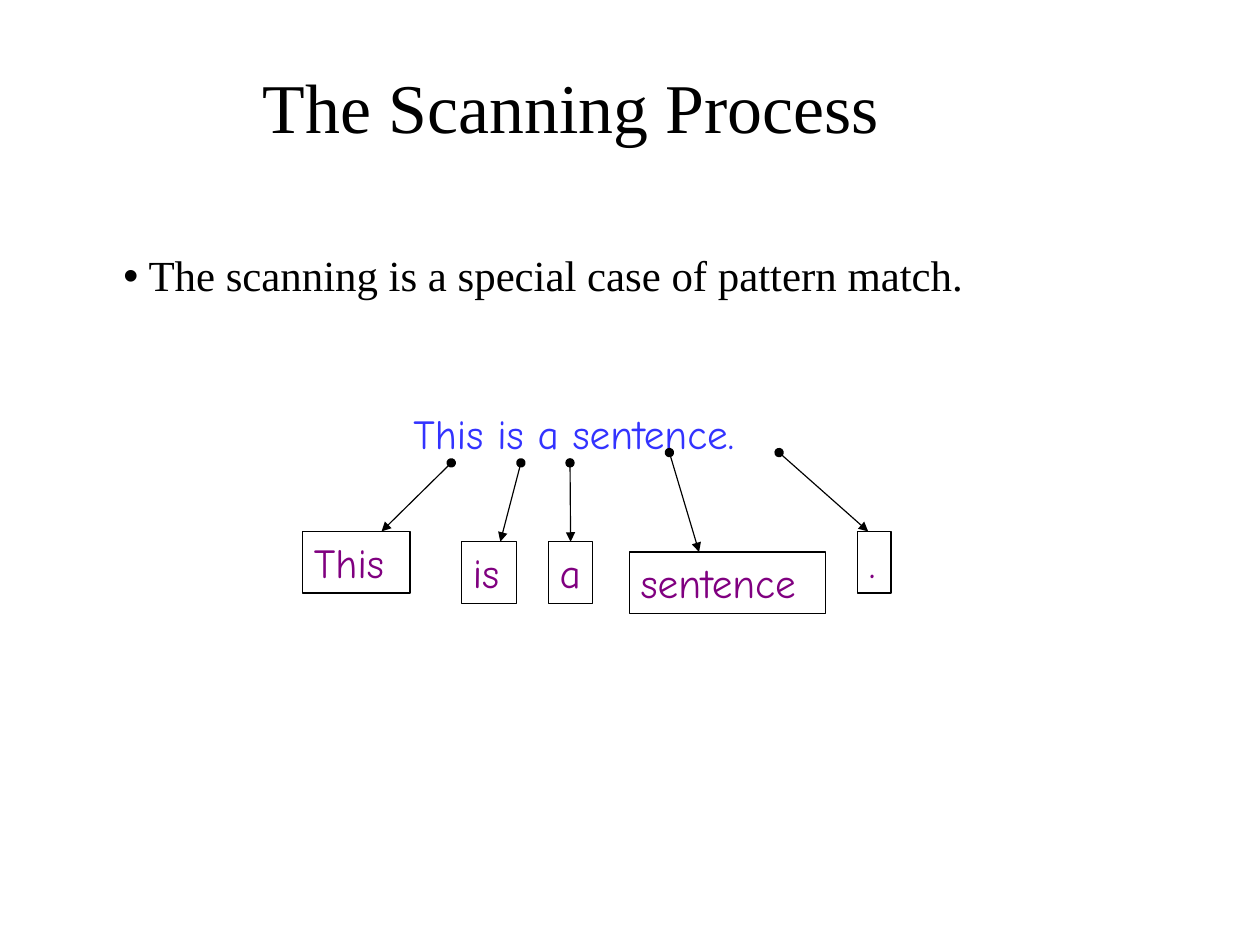
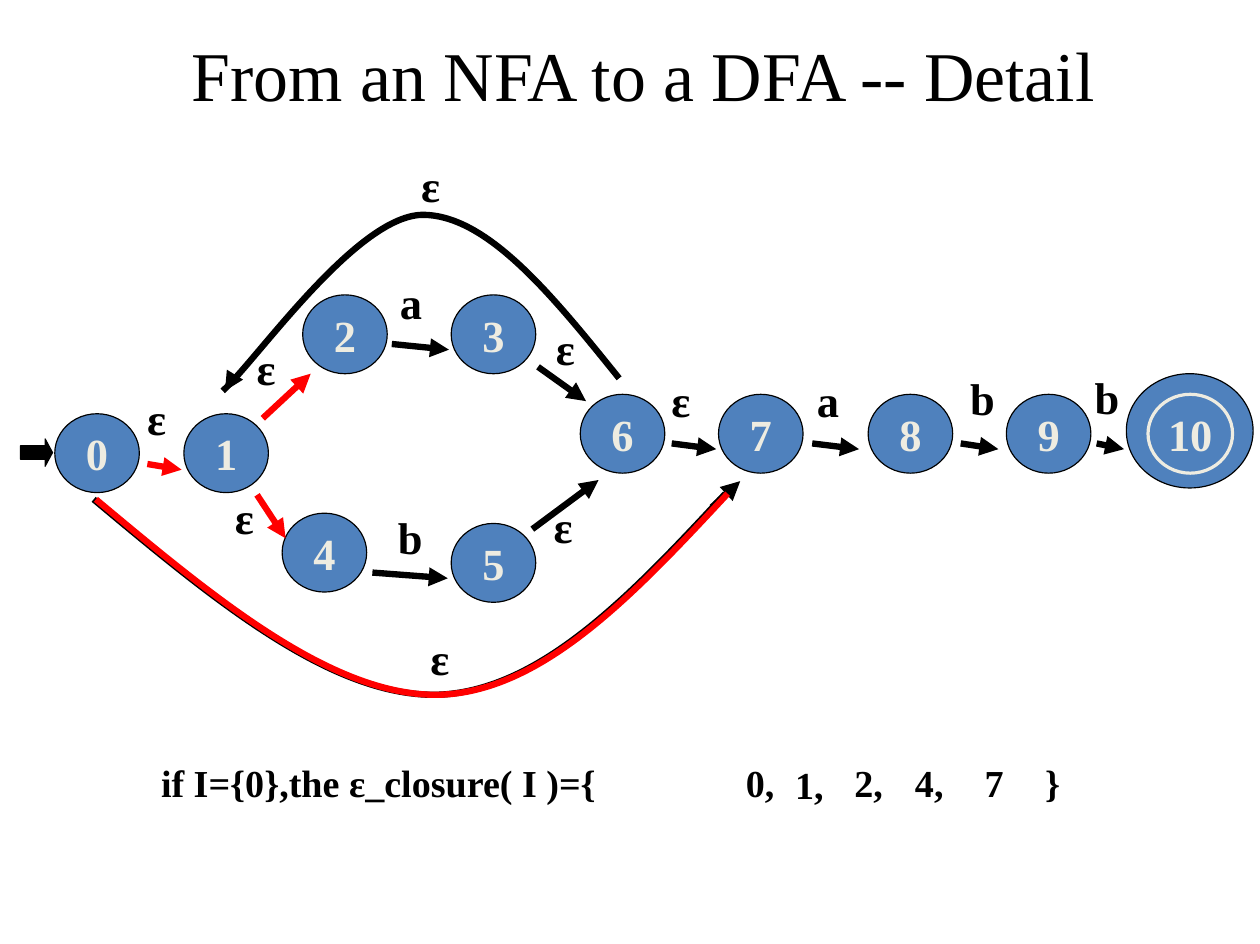
from lxml.etree import SubElement
from pptx import Presentation
from pptx.dml.color import RGBColor
from pptx.enum.shapes import MSO_CONNECTOR, MSO_SHAPE
from pptx.enum.text import MSO_ANCHOR, MSO_AUTO_SIZE, PP_ALIGN
from pptx.oxml.ns import qn
from pptx.util import Inches, Pt

BLACK = RGBColor(0x00, 0x00, 0x00)
RED = RGBColor(0xFF, 0x00, 0x00)
SENTENCE_BLUE = RGBColor(0x33, 0x33, 0xFF)
TOKEN_PURPLE = RGBColor(0x80, 0x00, 0x80)
STATE_BLUE = RGBColor(0x4F, 0x81, 0xBD)
STATE_TEXT = RGBColor(0xEE, 0xEC, 0xE1)

SERIF = "Times New Roman"
HAND = "Comic Neue"
THIN, THICK = 0.75, 4
STATE_W, STATE_H = 0.74, 0.69
PLAIN_INSETS = (0.1, 0.05, 0.1, 0.05)
DIAGRAM_INSETS = (0.11, 0.06, 0.11, 0.06)

# token, box left, top, width, arrow start, arrow end x (None: middle of the box)
TOKENS = [
    ("This", 2.65, 4.65, 0.94, (3.95, 4.05), 3.34),
    ("is", 4.04, 4.74, 0.48, (4.56, 4.05), 4.38),
    ("a", 4.8, 4.74, 0.39, (4.99, 4.05), None),
    ("sentence", 5.51, 4.83, 1.72, (5.86, 3.96), 6.12),
    (".", 7.51, 4.65, 0.29, (6.82, 3.96), 7.6),
]

STATES = {
    "0": (0.48, 3.62), "1": (1.61, 3.62),
    "2": (2.65, 2.58), "3": (3.95, 2.58),
    "4": (2.47, 4.49), "5": (3.95, 4.58),
    "6": (5.08, 3.45), "7": (6.29, 3.45),
    "8": (7.6, 3.45), "9": (8.81, 3.45),
}

MOVES = [
    ((9.6, 3.88), (9.84, 3.93), BLACK),
    ((8.41, 3.88), (8.74, 3.93), BLACK),
    ((7.11, 3.88), (7.52, 3.93), BLACK),
    ((5.88, 3.88), (6.27, 3.93), BLACK),
    ((3.26, 5.01), (3.92, 5.06), BLACK),
    ((3.43, 3.01), (3.93, 3.06), BLACK),
    ((4.71, 3.21), (5.13, 3.51), BLACK),
    ((4.66, 4.63), (5.24, 4.2), BLACK),
    ((1.29, 4.06), (1.59, 4.11), RED),
    ((2.3, 3.66), (2.72, 3.27), RED),
    ((2.25, 4.33), (2.5, 4.71), RED),
]

LABEL_WIDTHS = {"ε": 0.58, "a": 0.41, "b": 0.5}
LABELS = {
    "ε": [(3.48, 1.32), (1.08, 3.36), (2.04, 2.92), (1.85, 4.23),
          (4.66, 2.75), (4.64, 4.31), (5.67, 3.2), (3.56, 5.46)],
    "a": [(3.39, 2.35), (7.04, 3.2)],
    "b": [(3.34, 4.4), (8.35, 3.19), (9.44, 3.18)],
}

CLOSURE = [
    ("if I={0},the ε_closure( I )={", 1.3, 6.63, 5.17),
    ("0,", 6.42, 6.63, 0.56),
    ("1,", 6.85, 6.65, 0.56),
    ("2,", 7.37, 6.63, 0.66),
    ("4,", 7.9, 6.63, 0.56),
    ("7", 8.51, 6.63, 0.47),
    ("}", 9.04, 6.63, 0.38),
]

SKIP_CURVE = [(0.82, 4.37), (1.85, 5.23), (2.87, 6.08), (3.8, 6.08),
              (4.72, 6.07), (5.54, 5.19), (6.35, 4.32)]
LOOP_CURVE = [(5.42, 3.31), (4.84, 2.59), (4.26, 1.87), (3.69, 1.88),
              (3.11, 1.9), (2.24, 3.16), (1.95, 3.42)]


def inches(*values):
    return [Inches(value) for value in values]


def write(shape, text, size, color=BLACK, font=SERIF, bold=False, align=PP_ALIGN.LEFT,
          anchor=MSO_ANCHOR.TOP, insets=PLAIN_INSETS, wrap=True, spacing=1.0):
    frame = shape.text_frame
    frame.word_wrap = wrap
    frame.auto_size = MSO_AUTO_SIZE.NONE
    frame.vertical_anchor = anchor
    (frame.margin_left, frame.margin_top,
     frame.margin_right, frame.margin_bottom) = inches(*insets)
    paragraph = frame.paragraphs[0]
    paragraph.alignment = align
    paragraph.line_spacing = spacing
    paragraph.space_before = Pt(0)
    run = paragraph.add_run()
    run.text = text
    run.font.size = Pt(size)
    run.font.name = font
    run.font.bold = bold
    run.font.color.rgb = color
    return paragraph


def place(shape, *box):
    shape.left, shape.top, shape.width, shape.height = inches(*box)


def add_title(slide, text, box, **style):
    place(slide.shapes.title, *box)
    write(slide.shapes.title, text, 44, anchor=MSO_ANCHOR.MIDDLE, **style)


def add_text(slide, text, box, size, **style):
    write(slide.shapes.add_textbox(*inches(*box)), text, size, **style)


def add_figure(slide, kind, box, fill=None, line=BLACK, width=THIN):
    figure = slide.shapes.add_shape(kind, *inches(*box))
    figure.shadow.inherit = False
    if fill is None:
        figure.fill.background()
    else:
        figure.fill.solid()
        figure.fill.fore_color.rgb = fill
    figure.line.color.rgb = line
    figure.line.width = Pt(width)
    return figure


def add_arrow(slide, start, end, color=BLACK, width=THICK, dot=False):
    arrow = slide.shapes.add_connector(MSO_CONNECTOR.STRAIGHT, *inches(*start, *end))
    arrow.line.color.rgb = color
    arrow.line.width = Pt(width)
    properties = arrow._element.spPr
    outline = properties.find(qn("a:ln"))
    if dot:
        SubElement(outline, qn("a:headEnd"), type="oval")
    SubElement(outline, qn("a:tailEnd"), type="triangle")
    SubElement(properties, qn("a:effectLst"))
    return arrow


def add_curve(slide, points, color=BLACK):
    """Draw cubic Béziers through a start point and triples of control points."""
    start, *controls = [inches(*point) for point in points]
    builder = slide.shapes.build_freeform(*start)
    builder.add_line_segments(controls, close=False)
    curve = builder.convert_to_shape()
    curve.shadow.inherit = False
    curve.fill.background()
    curve.line.color.rgb = color
    curve.line.width = Pt(THICK)
    outline = next(curve._element.iter(qn("a:path")))
    segments = outline.findall(qn("a:lnTo"))
    for first in range(0, len(segments), 3):
        bezier = SubElement(outline, qn("a:cubicBezTo"))
        for segment in segments[first:first + 3]:
            bezier.append(segment[0])
            outline.remove(segment)


def add_state(slide, name, left, top, **outline):
    state = add_figure(slide, MSO_SHAPE.OVAL, (left, top, STATE_W, STATE_H),
                       STATE_BLUE, **outline)
    write(state, name, 28, STATE_TEXT, bold=True, align=PP_ALIGN.CENTER,
          anchor=MSO_ANCHOR.MIDDLE, insets=DIAGRAM_INSETS, wrap=False)


def add_bullet(paragraph, indent):
    properties = paragraph._p.get_or_add_pPr()
    properties.set("marL", str(Inches(indent)))
    properties.set("indent", str(-Inches(indent)))
    SubElement(properties, qn("a:buChar"), char="•")


def build_scanning(slide):
    add_title(slide, "The Scanning Process", (0.5, 0.3, 9, 1.25), align=PP_ALIGN.CENTER)
    body = slide.placeholders[1]
    place(body, 0.98, 2.18, 8.4, 0.51)
    statement = write(body, "The scanning is a special case of pattern match.", 27,
                      spacing=0.9)
    add_bullet(statement, 0.22)

    add_text(slide, "This is a sentence.", (3.52, 3.52, 3.38, 0.55), 26,
             color=SENTENCE_BLUE, font=HAND)
    for token, left, top, width, start, end_x in TOKENS:
        box = add_figure(slide, MSO_SHAPE.RECTANGLE, (left, top, width, 0.54))
        write(box, token, 26, TOKEN_PURPLE, HAND)
        arrow = add_arrow(slide, start, (end_x or start[0], top), width=THIN, dot=True)
        if end_x is None:
            arrow.end_connect(box, 0)


def build_automaton(slide):
    add_title(slide, "From an NFA to a DFA -- Detail", (1.68, 0.3, 8.13, 0.77),
              insets=(0, 0, 0, 0.05), spacing=Pt(51))
    add_curve(slide, SKIP_CURVE)
    add_arrow(slide, (6.23, 4.44), (6.48, 4.21))

    add_figure(slide, MSO_SHAPE.OVAL, (9.86, 3.27, 1.11, 1), STATE_BLUE)
    add_state(slide, "10", 10.05, 3.45, line=STATE_TEXT, width=2)
    for name, corner in STATES.items():
        add_state(slide, name, *corner)
    entry = add_figure(slide, MSO_SHAPE.RIGHT_ARROW, (0.18, 3.84, 0.28, 0.24), BLACK)
    entry.adjustments[1] = 0.27

    add_curve(slide, LOOP_CURVE)
    add_arrow(slide, (2.05, 3.29), (1.97, 3.42))
    for start, end, color in MOVES:
        add_arrow(slide, start, end, color)
    add_curve(slide, [(x + 0.02, y) for x, y in SKIP_CURVE], RED)

    for symbol, corners in LABELS.items():
        for corner in corners:
            add_text(slide, symbol, (*corner, LABEL_WIDTHS[symbol], 0.58), 28,
                     bold=True, align=PP_ALIGN.CENTER, insets=DIAGRAM_INSETS)
    for text, left, top, width in CLOSURE:
        add_text(slide, text, (left, top, width, 0.47), 24,
                 bold=True, insets=DIAGRAM_INSETS, spacing=0.9)


def main():
    deck = Presentation()
    deck.slide_width, deck.slide_height = inches(11.03, 8.26)
    title_and_content, title_only = deck.slide_layouts[1], deck.slide_layouts[5]
    build_scanning(deck.slides.add_slide(title_and_content))
    build_automaton(deck.slides.add_slide(title_only))
    deck.save("out.pptx")


if __name__ == "__main__":
    main()
